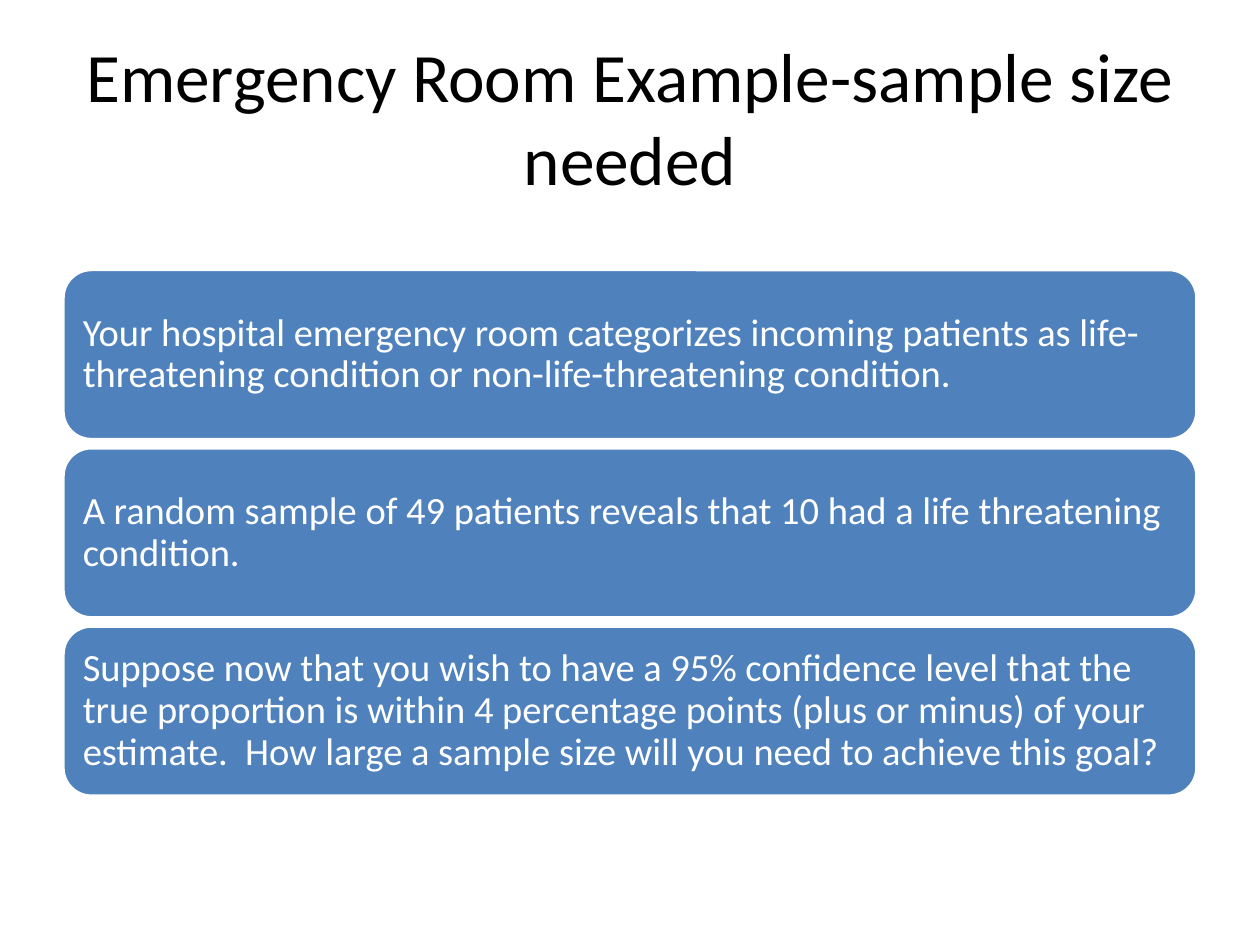
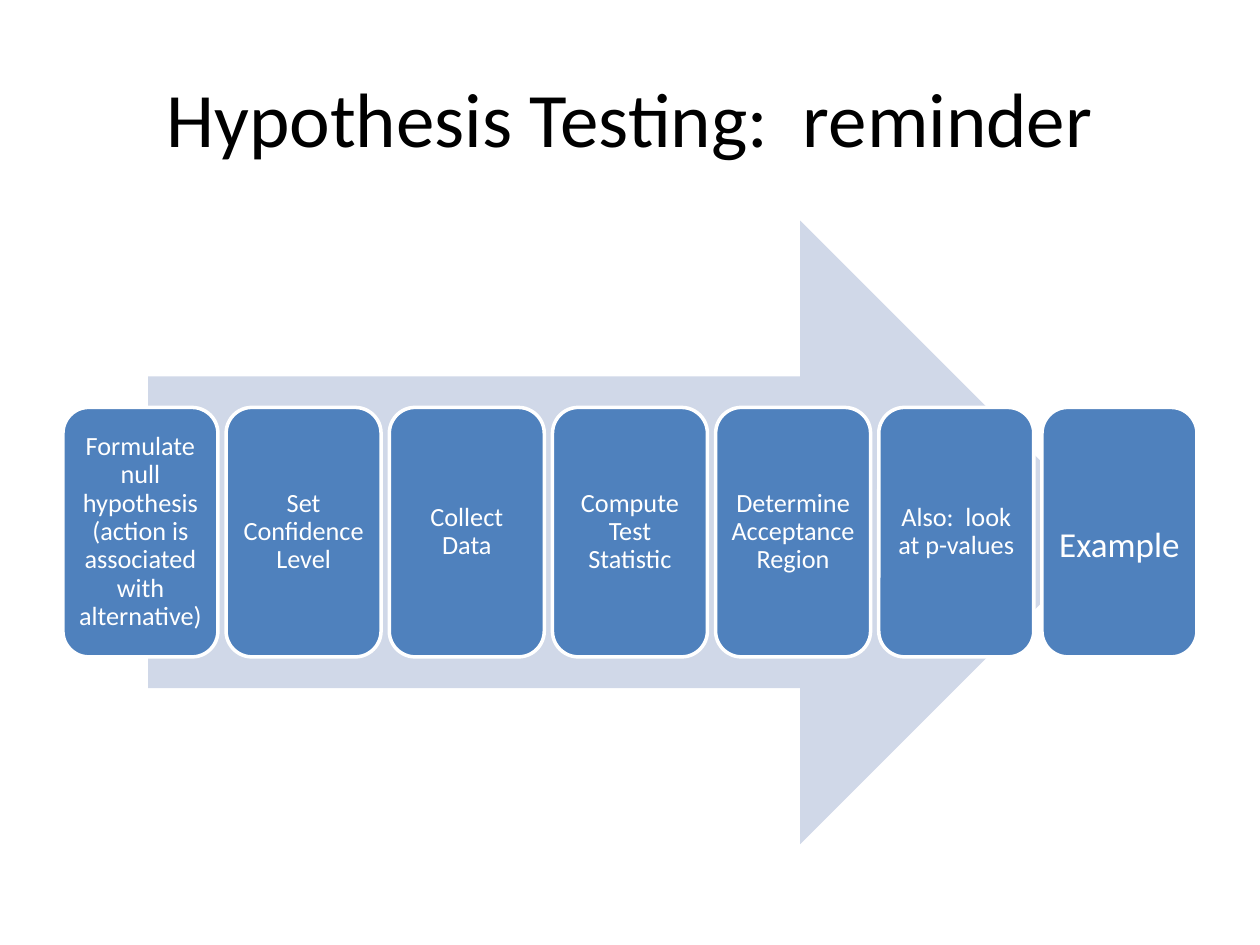
from dataclasses import dataclass

from pptx import Presentation
from pptx.dml.color import RGBColor
from pptx.enum.shapes import MSO_SHAPE
from pptx.enum.text import MSO_ANCHOR, PP_ALIGN
from pptx.shapes.autoshape import Shape
from pptx.slide import Slide
from pptx.text.text import TextFrame
from pptx.util import Pt

COLORS = {"title": "000000", "box": "4F81BD", "arrow": "D0D8E8", "white": "FFFFFF"}
FONT = "Calibri"
MARGIN = 36
CONTENT_WIDTH = 648
GAP = 4.68


@dataclass(frozen=True)
class Box:
    text: str
    size: float
    drop: float = 0


@dataclass(frozen=True)
class BoxGroup:
    boxes: tuple[Box, ...]
    top: float
    width: float
    height: float
    step_x: float
    step_y: float
    inset: float
    align: PP_ALIGN


STATEMENTS = BoxGroup(
    boxes=(
        Box("Your hospital emergency room categorizes incoming patients as "
            "life-threatening condition or non-life-threatening condition.", 22),
        Box("A random sample of 49 patients reveals that 10 had a life threatening condition.", 22),
        Box("Suppose now that you wish to have a 95% confidence level that the true "
            "proportion is within 4 percentage points (plus or minus) of your estimate.  "
            "How large a sample size will you need to achieve this goal?", 22),
    ),
    top=154, width=CONTENT_WIDTH, height=97.2, step_x=0, step_y=97.2 + GAP,
    inset=6.6, align=PP_ALIGN.LEFT,
)

STEP_WIDTH = (CONTENT_WIDTH - 6 * GAP) / 7
STEPS = BoxGroup(
    boxes=(
        Box("Formulate null hypothesis (action is associated with alternative)", 15),
        Box("Set Confidence Level", 15),
        Box("Collect Data", 15),
        Box("Compute Test Statistic", 15),
        Box("Determine Acceptance Region", 15),
        Box("Also:  look at p-values", 15),
        Box("Example", 20, drop=16.5),
    ),
    top=232.8, width=STEP_WIDTH, height=142.56, step_x=STEP_WIDTH + GAP, step_y=0,
    inset=4.5, align=PP_ALIGN.CENTER,
)


def rgb(name: str) -> RGBColor:
    return RGBColor.from_string(COLORS[name])


def write(tf: TextFrame, text: str, size: float, color: str, align: PP_ALIGN) -> None:
    tf.word_wrap = True
    tf.vertical_anchor = MSO_ANCHOR.MIDDLE
    p = tf.paragraphs[0]
    p.text = text
    p.alignment = align
    p.font.name = FONT
    p.font.size = Pt(size)
    p.font.color.rgb = rgb(color)


def add_title(s: Slide, text: str, size: float) -> None:
    sp = s.shapes.add_textbox(Pt(MARGIN), Pt(21.6), Pt(CONTENT_WIDTH), Pt(90))
    write(sp.text_frame, text, size, "title", PP_ALIGN.CENTER)


def add_filled(s: Slide, kind: MSO_SHAPE, left: float, top: float,
               width: float, height: float, color: str) -> Shape:
    sp = s.shapes.add_shape(kind, Pt(left), Pt(top), Pt(width), Pt(height))
    sp.shadow.inherit = False
    sp.fill.solid()
    sp.fill.fore_color.rgb = rgb(color)
    sp.line.fill.background()
    return sp


def add_boxes(s: Slide, group: BoxGroup) -> None:
    for i, box in enumerate(group.boxes):
        sp = add_filled(s, MSO_SHAPE.ROUNDED_RECTANGLE, MARGIN + i * group.step_x,
                        group.top + i * group.step_y, group.width, group.height, "box")
        sp.line.color.rgb = rgb("white")
        sp.line.width = Pt(2)
        tf = sp.text_frame
        tf.margin_left = tf.margin_right = tf.margin_bottom = Pt(group.inset)
        tf.margin_top = Pt(group.inset + box.drop)
        write(tf, box.text, box.size, "white", group.align)
        tf.paragraphs[0].line_spacing = 0.9


def main() -> None:
    prs = Presentation()
    prs.slide_width, prs.slide_height = Pt(720), Pt(540)
    blank = prs.slide_layouts[6]

    s = prs.slides.add_slide(blank)
    add_title(s, "Emergency Room Example-sample size needed", 39.6)
    add_boxes(s, STATEMENTS)

    s = prs.slides.add_slide(blank)
    add_title(s, "Hypothesis Testing:  reminder", 44)
    add_filled(s, MSO_SHAPE.RIGHT_ARROW, 84.6, 126, 550.8, 356.4, "arrow")
    add_boxes(s, STEPS)

    prs.save("out.pptx")


if __name__ == "__main__":
    main()
